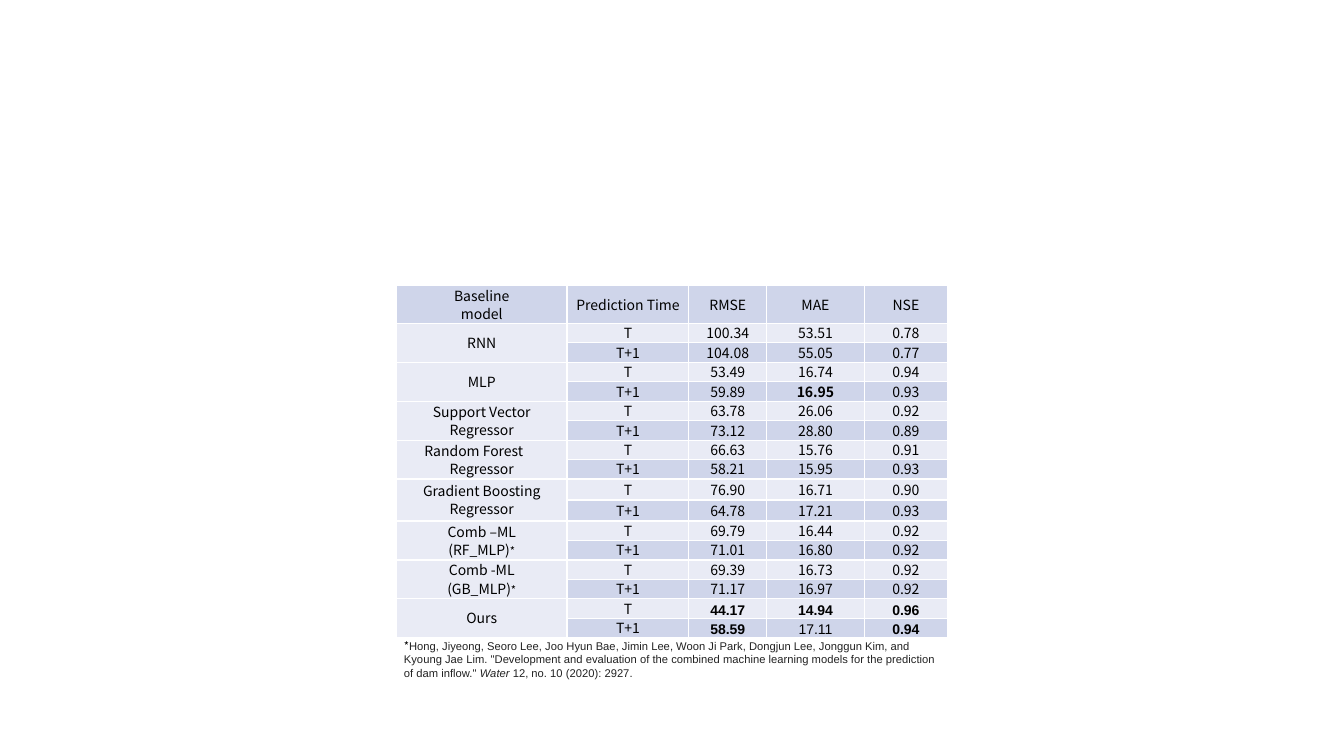
from pptx import Presentation
from pptx.dml.color import RGBColor
from pptx.enum.text import MSO_ANCHOR, PP_ALIGN
from pptx.util import Cm, Pt

CENTER = PP_ALIGN.CENTER
MIDDLE = MSO_ANCHOR.MIDDLE
SANS, ARIAL = "Noto Sans CJK KR", "Arial"
DARK_BAND, LIGHT_BAND = "CFD5EA", "E9EBF5"
LINE_SHIFT = Cm(0.4)

HEADINGS = ["Baseline\nmodel", "Prediction Time", "RMSE", "MAE", "NSE"]
MODELS = [
    ("RNN", ["100.34", "53.51", "0.78"], ["104.08", "55.05", "0.77"]),
    ("MLP", ["53.49", "16.74", "0.94"], ["59.89", "16.95", "0.93"]),
    ("Support Vector\nRegressor", ["63.78", "26.06", "0.92"], ["73.12", "28.80", "0.89"]),
    ("Random Forest\nRegressor", ["66.63", "15.76", "0.91"], ["58.21", "15.95", "0.93"]),
    ("Gradient Boosting\nRegressor", ["76.90", "16.71", "0.90"], ["64.78", "17.21", "0.93"]),
    ("Comb –ML\n(RF_MLP)*", ["69.79", "16.44", "0.92"], ["71.01", "16.80", "0.92"]),
    ("Comb -ML\n(GB_MLP)*", ["69.39", "16.73", "0.92"], ["71.17", "16.97", "0.92"]),
    ("Ours", ["44.17", "14.94", "0.96"], ["58.59", "17.11", "0.94"]),
]
BEST_VALUES = {"16.95", "44.17", "14.94", "0.96", "58.59", "0.94"}
COLUMN_WIDTHS = [4.3, 3.07, 1.96, 2.46, 2.1]
HEADER_HEIGHT, ROW_HEIGHT, TALL_ROW_HEIGHT = 0.95, 0.49, 0.53


def add_run(paragraph, text, color="000000", **formats):
    run = paragraph.add_run()
    run.text = text
    for name, value in formats.items():
        setattr(run.font, name, value)
    run.font.color.rgb = RGBColor.from_string(color)


def fill_cell(cell, text, band, font=SANS, bold=False):
    """Write centred lines into a cell; asterisks become small marks."""
    cell.fill.solid()
    cell.fill.fore_color.rgb = RGBColor.from_string(band)
    margins = {"margin_left": Cm(0.18), "margin_right": Cm(0.18),
               "margin_top": Cm(0.03), "margin_bottom": 0}
    for name, value in margins.items():
        setattr(cell, name, value)
    cell.vertical_anchor = MIDDLE
    for index, line in enumerate(text.split("\n")):
        frame = cell.text_frame
        paragraph = frame.add_paragraph() if index else frame.paragraphs[0]
        paragraph.alignment = CENTER
        paragraph.line_spacing = Pt(13)
        add_run(paragraph, line.rstrip("*"), name=font, size=Pt(10), bold=bold)
        if line.endswith("*"):
            add_run(paragraph, "*", name=font, size=Pt(8), bold=bold)


presentation = Presentation()
presentation.slide_width = Cm(33.87)
presentation.slide_height = Cm(19.05)
slide = presentation.slides.add_slide(presentation.slide_layouts[6])

row_count = 1 + 2 * len(MODELS)
table = slide.shapes.add_table(
    row_count, len(HEADINGS), Cm(9.99), Cm(7.2), Cm(sum(COLUMN_WIDTHS)), Cm(8.8)
).table
table.first_row = False
table.horz_banding = False
for column, width in zip(table.columns, COLUMN_WIDTHS):
    column.width = Cm(width)
for row in table.rows:
    row.height = Cm(ROW_HEIGHT)
table.rows[0].height = Cm(HEADER_HEIGHT)

for column_index, heading in enumerate(HEADINGS):
    fill_cell(table.cell(0, column_index), heading, DARK_BAND)

for model_index, (model, *scores) in enumerate(MODELS):
    first_row = 1 + 2 * model_index
    model_cell = table.cell(first_row, 0)
    model_cell.merge(table.cell(first_row + 1, 0))
    fill_cell(model_cell, model, LIGHT_BAND)
    for offset, (time, band) in enumerate([("T", LIGHT_BAND), ("T+1", DARK_BAND)]):
        row_index = first_row + offset
        if model.startswith("Gradient"):
            table.rows[row_index].height = Cm(TALL_ROW_HEIGHT)
        fill_cell(table.cell(row_index, 1), time, band)
        for column_index, score in enumerate(scores[offset], start=2):
            # 0.94 also occurs for MLP, where it is not highlighted
            bold = score in BEST_VALUES and (model == "Ours" or score == "16.95")
            font = ARIAL if model == "Ours" else SANS
            fill_cell(table.cell(row_index, column_index), score, band, font, bold)
    if model.startswith("Random"):
        # The first line sits left of centre, the second stays centred
        model_cell.margin_right += LINE_SHIFT
        second_line = model_cell.text_frame.paragraphs[1]
        second_line._p.get_or_add_pPr().set("marL", str(LINE_SHIFT))

footnote = slide.shapes.add_textbox(Cm(9.93), Cm(15.98), Cm(13.97), Cm(1.27))
footnote.text_frame.word_wrap = True
citation = footnote.text_frame.paragraphs[0]
add_run(citation, "*", name=SANS, size=Pt(8))
for text, italic in [
    ("Hong, Jiyeong, Seoro Lee, Joo Hyun Bae, Jimin Lee, Woon Ji Park, Dongjun Lee, "
     "Jonggun Kim, and Kyoung Jae Lim. \"Development and evaluation of the combined "
     "machine learning models for the prediction of dam inflow.\" ", False),
    ("Water", True),
    (" 12, no. 10 (2020): 2927.", False),
]:
    add_run(citation, text, "222222", name=ARIAL, size=Pt(8), italic=italic)

presentation.save("out.pptx")
